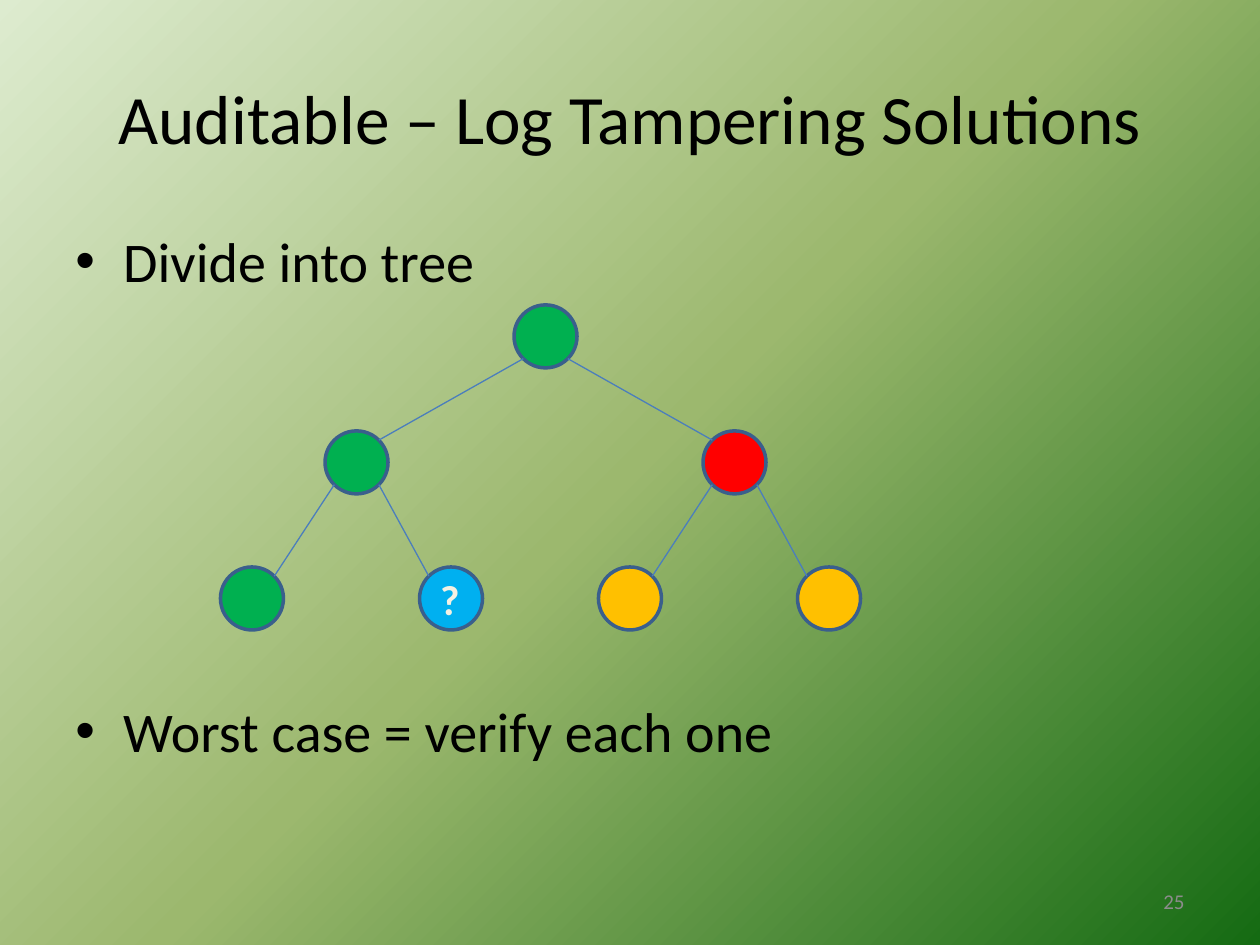
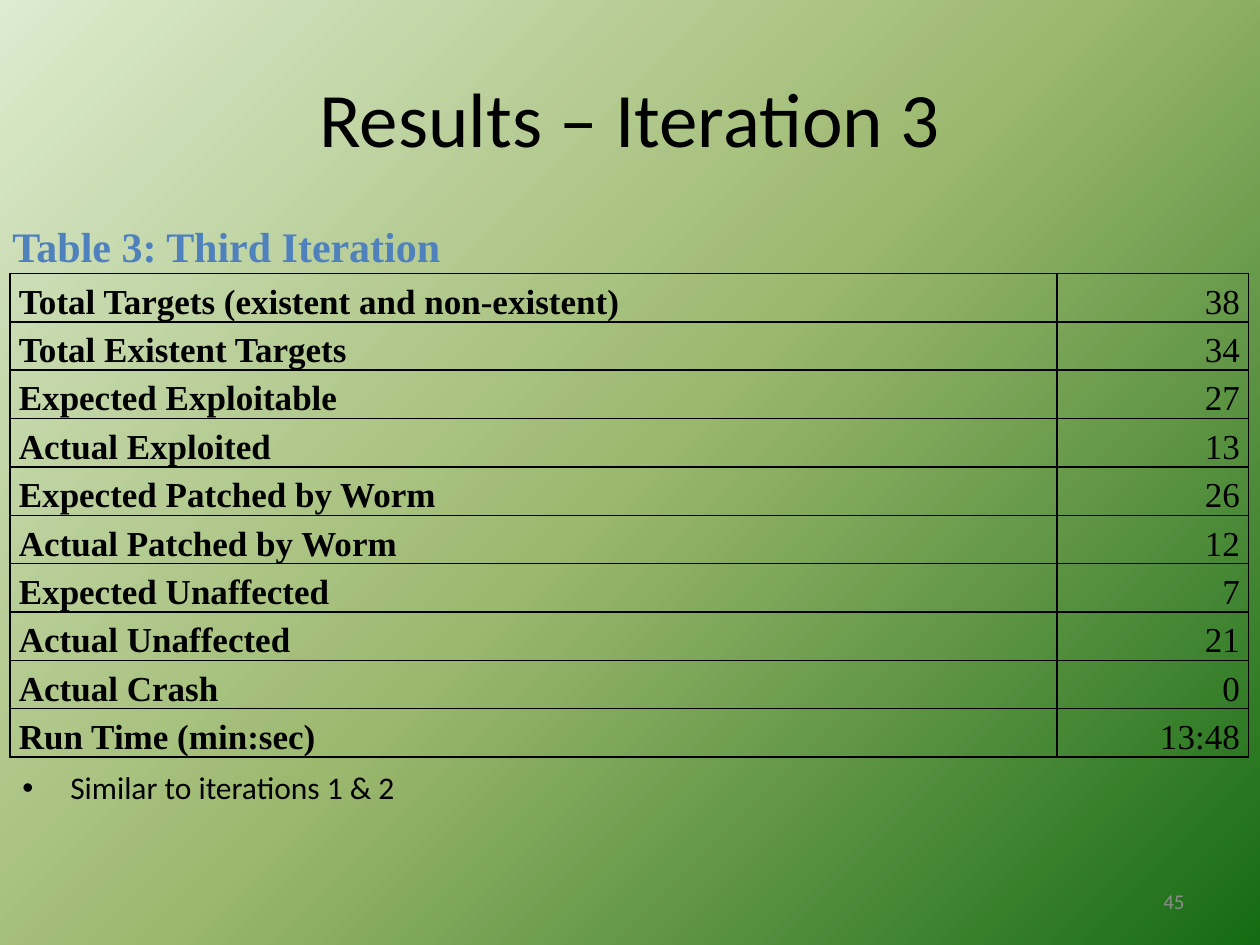
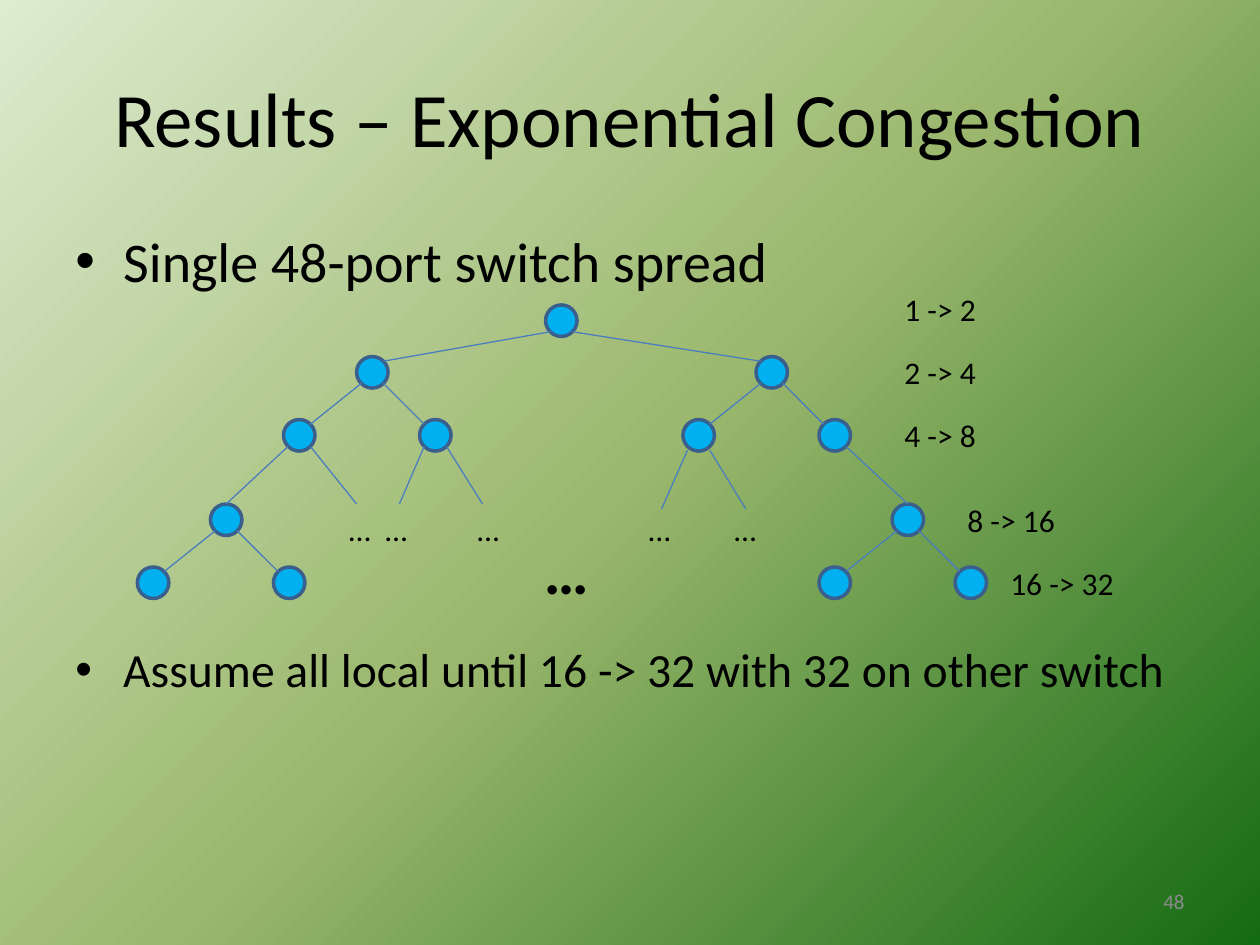
import copy
import dataclasses
import math
import typing

import lxml.etree
import pptx
import pptx.dml.color
import pptx.enum.dml
import pptx.enum.shapes
import pptx.enum.text
import pptx.oxml.ns
import pptx.presentation
import pptx.slide
import pptx.table
import pptx.text.text
import pptx.util

Inches = pptx.util.Inches
Pt = pptx.util.Pt
RGBColor = pptx.dml.color.RGBColor
Align = pptx.enum.text.PP_ALIGN
Anchor = pptx.enum.text.MSO_ANCHOR
qn = pptx.oxml.ns.qn

BLACK = RGBColor(0x00, 0x00, 0x00)
GREY = RGBColor(0x8C, 0x8C, 0x8C)
CAPTION_BLUE = RGBColor(0x4F, 0x81, 0xBD)
CREAM = RGBColor(0xF4, 0xF1, 0xE3)
GREEN = RGBColor(0x00, 0xB0, 0x50)
BLUE = RGBColor(0x00, 0xB0, 0xF0)
RED = RGBColor(0xFF, 0x00, 0x00)
AMBER = RGBColor(0xFF, 0xC0, 0x00)
NODE_LINE = RGBColor(0x3A, 0x5F, 0x8C)
BRANCH_LINE = RGBColor(0x4B, 0x7E, 0xBC)
MARK_OUTLINE = RGBColor(0x05, 0x46, 0x97)
BACKGROUND_STOPS = (
    (0, RGBColor(0xDD, 0xEB, 0xCF)),
    (50, RGBColor(0x9C, 0xB8, 0x6E)),
    (100, RGBColor(0x15, 0x6B, 0x13)),
)

SANS = "Calibri"
SERIF = "Times New Roman"
BULLET_INDENT = 0.38
LEFT, RIGHT, TOP, BOTTOM = -1, 1, -1, 1


@dataclasses.dataclass(frozen=True)
class Box:
    """A rectangle in inches."""

    left: float
    top: float
    width: float
    height: float


@dataclasses.dataclass(frozen=True)
class Style:
    """The look of a piece of text."""

    size: float
    font: str = SANS
    color: RGBColor = BLACK
    bold: bool = False
    align: Align = Align.LEFT
    anchor: Anchor = Anchor.TOP


@dataclasses.dataclass(frozen=True)
class Node:
    """A round tree node, placed by its top left corner in inches."""

    left: float
    top: float
    size: float
    color: RGBColor = BLUE

    def rim(self, across: int, down: int) -> tuple[float, float]:
        """Return the diagonal point of the rim on the given sides."""
        radius = self.size / 2
        reach = radius * math.sqrt(0.5)
        return (self.left + radius + across * reach,
                self.top + radius + down * reach)

    def crown(self) -> tuple[float, float]:
        """Return the topmost point."""
        return self.left + self.size / 2, self.top


TITLE_BOX = Box(0.5, 0.3, 9, 1.25)
NUMBER_BOX = Box(7.17, 6.95, 2.33, 0.4)
NUMBER_STYLE = Style(12, color=GREY, align=Align.RIGHT, anchor=Anchor.MIDDLE)
BULLET = Style(32)
LABEL = Style(18)


def add_run(paragraph: pptx.text.text._Paragraph, text: str, style: Style) -> pptx.text.text._Run:
    """Add one styled run to a paragraph."""
    run = paragraph.add_run()
    run.text = text
    run.font.name = style.font
    run.font.size = Pt(style.size)
    run.font.bold = style.bold
    run.font.color.rgb = style.color
    return run


def add_frame(slide: pptx.slide.Slide, box: Box, anchor: Anchor = Anchor.TOP) -> pptx.text.text.TextFrame:
    """Add an empty wrapping text box and return its frame."""
    shape = slide.shapes.add_textbox(
        Inches(box.left), Inches(box.top), Inches(box.width), Inches(box.height))
    shape.text_frame.word_wrap = True
    shape.text_frame.vertical_anchor = anchor
    return shape.text_frame


def add_text(slide: pptx.slide.Slide, box: Box, text: str, style: Style) -> pptx.text.text._Paragraph:
    """Add a text box with one paragraph."""
    paragraph = add_frame(slide, box, style.anchor).paragraphs[0]
    paragraph.alignment = style.align
    add_run(paragraph, text, style)
    return paragraph


def make_bullet(paragraph: pptx.text.text._Paragraph, space_before: float) -> None:
    """Give a paragraph a hanging bullet and space above, in points."""
    paragraph.space_before = Pt(space_before)
    properties = paragraph._p.get_or_add_pPr()
    properties.set("marL", str(Inches(BULLET_INDENT)))
    properties.set("indent", str(-Inches(BULLET_INDENT)))
    lxml.etree.SubElement(properties, qn("a:buFont")).set("typeface", "Arial")
    lxml.etree.SubElement(properties, qn("a:buChar")).set("char", "•")


def add_bullet(slide: pptx.slide.Slide, box: Box, text: str, style: Style) -> pptx.text.text._Paragraph:
    """Add a text box with one bulleted paragraph."""
    paragraph = add_text(slide, box, text, style)
    make_bullet(paragraph, 0.2 * style.size)
    return paragraph


def set_background(presentation: pptx.presentation.Presentation) -> None:
    """Put the diagonal gradient on the master."""
    master = presentation.slide_master
    fill = master.background.fill
    fill.gradient()
    fill.gradient_angle = 315
    stop_list = master.element.find(".//" + qn("a:gsLst"))
    stop_list.insert(1, copy.deepcopy(stop_list[0]))
    for stop, (position, color) in zip(fill.gradient_stops, BACKGROUND_STOPS):
        stop.position = position / 100
        stop.color.rgb = color


def add_slide(presentation: pptx.presentation.Presentation, title: str, number: int,
              title_size: float = 44) -> pptx.slide.Slide:
    """Add a blank slide with its title and slide number."""
    slide = presentation.slides.add_slide(presentation.slide_layouts[6])
    add_text(slide, TITLE_BOX, title,
             Style(title_size, align=Align.CENTER, anchor=Anchor.MIDDLE))
    add_text(slide, NUMBER_BOX, str(number), NUMBER_STYLE)
    return slide


def draw_node(shapes: typing.Any, node: Node) -> None:
    """Draw a node on a slide or in a group."""
    shape = shapes.add_shape(
        pptx.enum.shapes.MSO_SHAPE.OVAL, Inches(node.left), Inches(node.top),
        Inches(node.size), Inches(node.size))
    shape.shadow.inherit = False
    shape.fill.solid()
    shape.fill.fore_color.rgb = node.color
    shape.line.color.rgb = NODE_LINE
    shape.line.width = Pt(2)


def draw_line(shapes: typing.Any, start: tuple[float, float], end: tuple[float, float]) -> None:
    """Draw a thin straight branch between two points."""
    connector = shapes.add_connector(
        pptx.enum.shapes.MSO_CONNECTOR.STRAIGHT,
        *(Inches(length) for length in (*start, *end)))
    connector.line.color.rgb = BRANCH_LINE
    connector.line.width = Pt(0.75)
    lxml.etree.SubElement(connector._element.spPr, qn("a:effectLst"))


def draw_branches(shapes: typing.Any, parent: Node, left_child: Node, right_child: Node) -> None:
    """Join a parent to its two children."""
    draw_line(shapes, parent.rim(LEFT, BOTTOM), left_child.rim(RIGHT, TOP))
    draw_line(shapes, parent.rim(RIGHT, BOTTOM), right_child.rim(LEFT, TOP))


def draw_family(shapes: typing.Any, parent: Node, left_child: Node, right_child: Node) -> None:
    """Draw a parent, its two children and the branches between."""
    for node in (parent, left_child, right_child):
        draw_node(shapes, node)
    draw_branches(shapes, parent, left_child, right_child)


def fill_cell(cell: pptx.table._Cell, text: str, style: Style) -> None:
    """Write a clear cell with black borders."""
    properties = cell._tc.get_or_add_tcPr()
    for edge in ("a:lnL", "a:lnR", "a:lnT", "a:lnB"):
        line = lxml.etree.SubElement(properties, qn(edge))
        line.set("w", str(Pt(1)))
        solid = lxml.etree.SubElement(line, qn("a:solidFill"))
        lxml.etree.SubElement(solid, qn("a:srgbClr")).set("val", str(BLACK))
    cell.fill.background()
    cell.margin_left = cell.margin_right = Inches(0.07)
    cell.margin_top = cell.margin_bottom = 0
    cell.vertical_anchor = style.anchor
    paragraph = cell.text_frame.paragraphs[0]
    paragraph.alignment = style.align
    paragraph.line_spacing = 1.15
    add_run(paragraph, text, style)


def build_tampering(presentation: pptx.presentation.Presentation) -> None:
    """Build the slide with the log verification tree."""
    slide = add_slide(presentation, "Auditable – Log Tampering Solutions", 25, 39.6)
    frame = add_frame(slide, Box(0.5, 1.75, 9, 4.95))
    gap_for_tree = 230
    for paragraph, text, space in (
            (frame.paragraphs[0], "Divide into tree", 0.2 * BULLET.size),
            (frame.add_paragraph(), "Worst case = verify each one", gap_for_tree)):
        add_run(paragraph, text, BULLET)
        make_bullet(paragraph, space)

    size = 0.5
    root = Node(4.08, 2.42, size, GREEN)
    children = []
    for left, colors in ((2.58, (GREEN, GREEN, BLUE)), (5.58, (RED, AMBER, AMBER))):
        parent = Node(left, 3.42, size, colors[0])
        draw_family(slide.shapes, parent,
                    Node(left - 0.83, 4.5, size, colors[1]),
                    Node(left + 0.75, 4.5, size, colors[2]))
        children.append(parent)
    draw_node(slide.shapes, root)
    draw_branches(slide.shapes, root, *children)

    mark = add_text(slide, Box(3.39, 4.5, 0.36, 0.5), "?",
                    Style(24, color=CREAM, bold=True, align=Align.CENTER))
    outline = lxml.etree.Element(qn("a:ln"), w=str(Pt(1)))
    solid = lxml.etree.SubElement(outline, qn("a:solidFill"))
    lxml.etree.SubElement(solid, qn("a:srgbClr")).set("val", str(MARK_OUTLINE))
    mark.runs[0]._r.get_or_add_rPr().insert(0, outline)


def build_iteration(presentation: pptx.presentation.Presentation) -> None:
    """Build the slide with the table of the third iteration."""
    slide = add_slide(presentation, "Results – Iteration 3", 45)
    add_bullet(slide, Box(0.08, 6.05, 9, 0.87), "Similar to iterations 1 & 2", LABEL)
    results = (
        ("Total Targets (existent and non-existent)", "38"),
        ("Total Existent Targets", "34"),
        ("Expected Exploitable", "27"),
        ("Actual Exploited", "13"),
        ("Expected Patched by Worm", "26"),
        ("Actual Patched by Worm", "12"),
        ("Expected Unaffected", "7"),
        ("Actual Unaffected", "21"),
        ("Actual Crash", "0"),
        ("Run Time (min:sec)", "13:48"),
    )
    styles = (Style(20, SERIF, bold=True, anchor=Anchor.BOTTOM),
              Style(20, SERIF, align=Align.RIGHT, anchor=Anchor.BOTTOM))
    row_height = 0.35
    table = slide.shapes.add_table(
        len(results), 2, Inches(0.08), Inches(2.17), Inches(9.83),
        Inches(row_height * len(results))).table
    table.first_row = False
    table.horz_banding = False
    for column, width in zip(table.columns, (8.31, 1.52)):
        column.width = Inches(width)
    for row, texts in zip(table.rows, results):
        for cell, text, style in zip(row.cells, texts, styles):
            fill_cell(cell, text, style)
    add_text(slide, Box(0, 1.7, 3.63, 0.5), "Table 3: Third Iteration",
             Style(24, SERIF, CAPTION_BLUE, bold=True, anchor=Anchor.MIDDLE))


def build_congestion(presentation: pptx.presentation.Presentation) -> None:
    """Build the slide with the tree of the switch spread."""
    slide = add_slide(presentation, "Results – Exponential Congestion", 48)
    add_bullet(slide, Box(0.5, 1.75, 9, 0.83), "Single 48-port switch spread", BULLET)

    size = 0.25
    families = []
    for left, top in ((2.83, 2.83), (6, 2.83), (1.67, 4), (7.08, 4)):
        family = (Node(left, top, size),
                  Node(left - 0.58, top + 0.5, size),
                  Node(left + 0.5, top + 0.5, size))
        draw_family(slide.shapes.add_group_shape().shapes, *family)
        families.append(family)
    upper_left, upper_right, lower_left, lower_right = families

    root = Node(4.33, 2.42, size)
    draw_node(slide.shapes, root)
    draw_branches(slide.shapes, root, upper_left[0], upper_right[0])
    draw_line(slide.shapes, upper_left[1].rim(LEFT, BOTTOM), lower_left[0].crown())
    draw_line(slide.shapes, upper_right[2].rim(RIGHT, BOTTOM), lower_right[0].crown())

    open_branches = (
        (upper_left[1], RIGHT, 0, (2.83, 4)),
        (upper_left[2], LEFT, 0, (3.17, 4)),
        (upper_left[2], RIGHT, 0, (3.83, 4)),
        (upper_right[1], LEFT, 0.03, (5.25, 4.04)),
        (upper_right[1], RIGHT, 0.03, (5.92, 4.04)),
    )
    for node, side, drop, end in open_branches:
        x, y = node.rim(side, BOTTOM)
        draw_line(slide.shapes, (x, y + drop), end)

    dots = add_text(slide, Box(2.67, 4, 3.83, 0.4), "\t".join("…" * 5), LABEL)
    tab_list = lxml.etree.SubElement(dots._p.get_or_add_pPr(), qn("a:tabLst"))
    for position in (0.29, 1.02, 2.38, 3.06):
        lxml.etree.SubElement(tab_list, qn("a:tab"), pos=str(Inches(position)), algn="l")
    add_text(slide, Box(2.58, 4.17, 3.83, 0.71), "…",
             Style(36, bold=True, align=Align.CENTER))

    for left, top, width, text in (
            (7.08, 2.25, 0.83, "1 -> 2"),
            (7.08, 2.75, 0.83, "2 -> 4"),
            (7.08, 3.25, 0.83, "4 -> 8"),
            (7.58, 3.93, 1, "8 -> 16"),
            (7.92, 4.43, 1.17, "16 -> 32")):
        add_text(slide, Box(left, top, width, 0.4), text, LABEL)
    conclusion = add_bullet(
        slide, Box(0.5, 5.08, 9, 0.83),
        "Assume all local until 16 -> 32 with 32 on other switch", Style(27.2))
    conclusion.line_spacing = 0.9


def main() -> None:
    """Build and save the presentation."""
    presentation = pptx.Presentation()
    presentation.slide_width = Inches(10)
    presentation.slide_height = Inches(7.5)
    set_background(presentation)
    build_tampering(presentation)
    build_iteration(presentation)
    build_congestion(presentation)
    presentation.save("out.pptx")


main()
